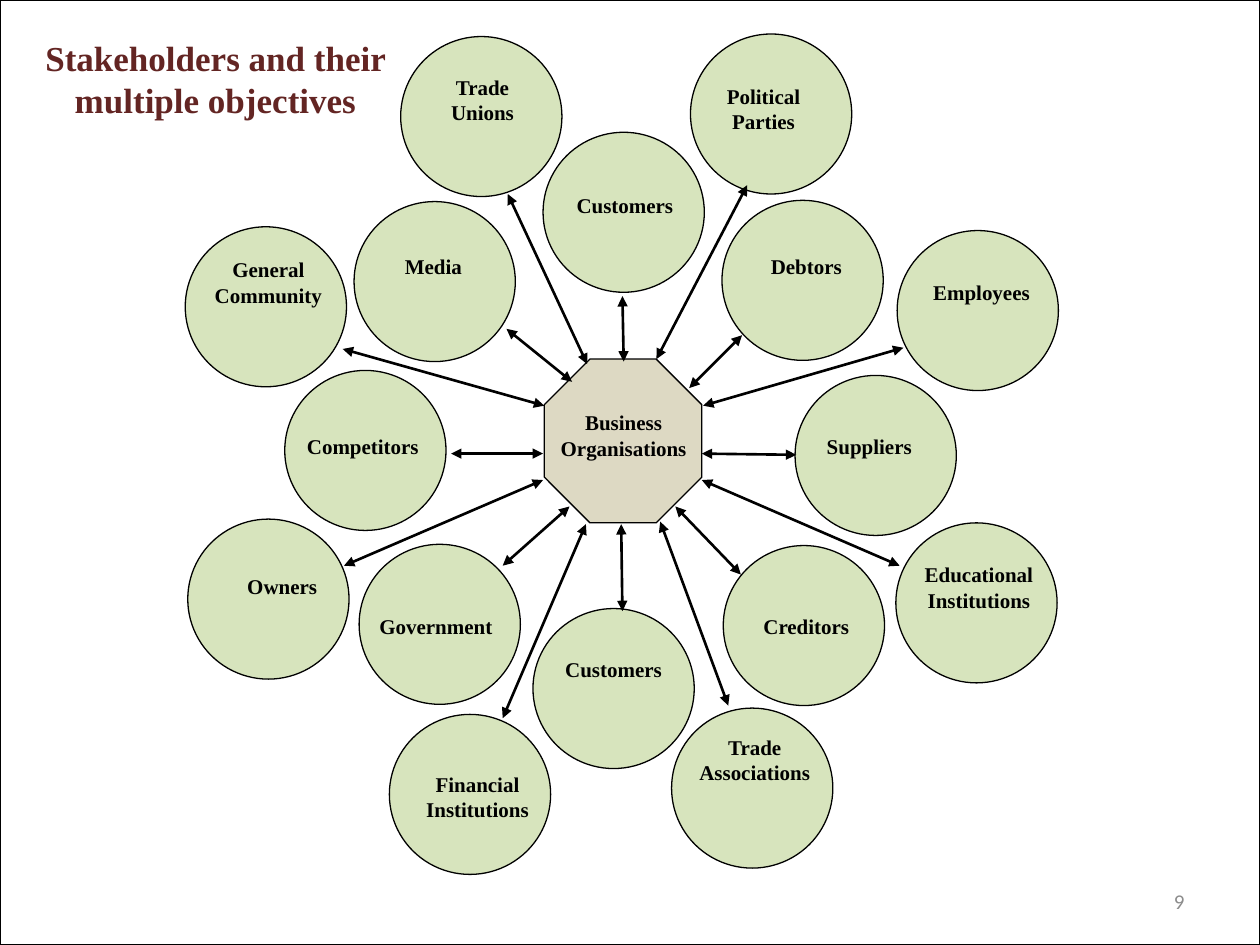
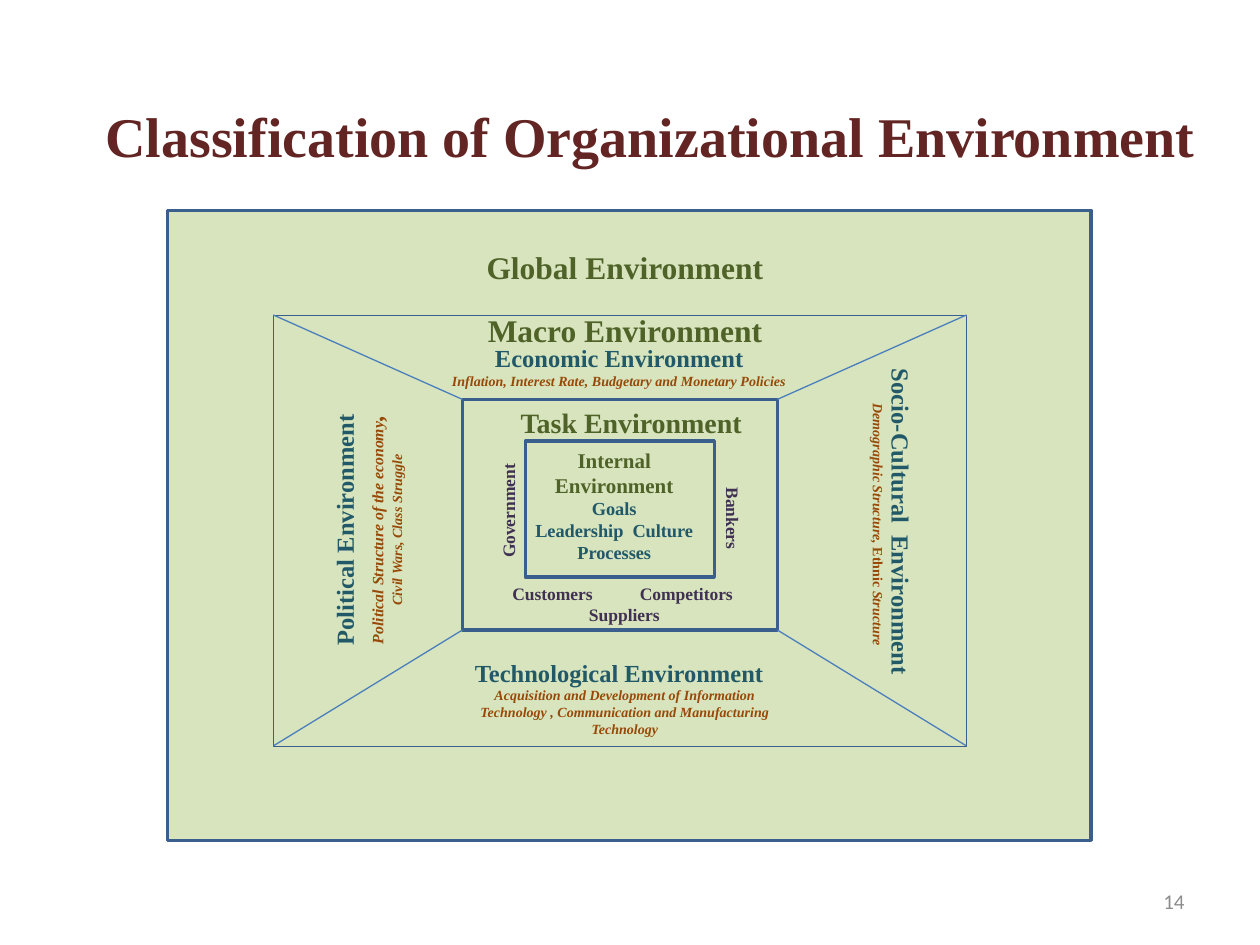
import pptx
import pptx.util
import pptx.dml.color
import pptx.enum.shapes
import pptx.enum.text
import pptx.oxml.ns
import lxml.etree

# ---- shared look ----
UNIT = 2.54  # all places below are in grid units of 2.54 cm
GREEN, SAND, BLACK, EDGE, RAY = "D7E4BD", "DDD9C3", "000000", "3A5F8C", "4B7EBC"
SERIF = "Times New Roman"
FONTS = {  # name: (font, size, colour, bold, italic)
    "head": (SERIF, 20, "632523", True, False),
    "big head": (SERIF, 32, "632523", True, False),
    "page": ("Calibri", 12, "8C8C8C", False, False),
    "label": (SERIF, 12, BLACK, True, False),
    "zone": (SERIF, 18, "4F6228", True, False),
    "task": (SERIF, 16, "4F6228", True, False),
    "inner": (SERIF, 12, "4F6228", True, False),
    "goal": (SERIF, 10.5, "215968", True, False),
    "field": (SERIF, 14, "215968", True, False),
    "note": (SERIF, 8, "984807", True, True),
    "note up": (SERIF, 8, "984807", True, False),
    "note 9": (SERIF, 9, "984807", True, True),
    "note 14": (SERIF, 14, "984807", True, True),
    "actor": (SERIF, 10, "403152", True, False),
}
LEFT, MID, RIGHT = (pptx.enum.text.PP_ALIGN.LEFT, pptx.enum.text.PP_ALIGN.CENTER,
                    pptx.enum.text.PP_ALIGN.RIGHT)
TOP, CENTRE = pptx.enum.text.MSO_ANCHOR.TOP, pptx.enum.text.MSO_ANCHOR.MIDDLE
KIND = pptx.enum.shapes.MSO_SHAPE
PAGE = (7.17, 6.95, 2.33, 0.4)

# ---- slide 1: stakeholders ----
HUB = (4.32, 2.85, 1.25, 1.3)
DISC = (1.28, 1.27)
ACTORS = [  # lines, disc corner, label box, arrow from hub to disc
    (["Customers"], (4.31, 1.05), (4.29, 1.48, 1.34, 0.49), (4.95, 2.87, 4.94, 2.35)),
    (["Customers"], (4.23, 4.83), (4.2, 5.16, 1.34, 0.71), (4.93, 4.16, 4.94, 4.85)),
    (["Suppliers"], (6.31, 2.98), (6.23, 3.39, 1.34, 0.41), (5.57, 3.6, 6.32, 3.61)),
    (["Competitors"], (2.26, 2.94), (2.09, 3.39, 1.58, 0.41), (4.31, 3.6, 3.58, 3.6)),
    (["Debtors"], (5.73, 1.59), (5.73, 1.96, 1.34, 0.61), (5.47, 3.08, 5.89, 2.66)),
    (["Media"], (2.81, 1.6), (2.77, 1.96, 1.34, 0.41), (4.54, 3.03, 4.02, 2.61)),
    (["Government"], (2.85, 4.32), (2.67, 4.82, 1.58, 0.41), (4.52, 4.02, 3.99, 4.49)),
    (["Creditors"], (5.74, 4.33), (5.73, 4.82, 1.34, 0.41), (5.36, 4.02, 5.88, 4.56)),
    (["Owners"], (1.49, 4.12), (1.57, 4.5, 1.34, 0.71), (4.31, 3.81, 2.73, 4.49)),
    (["Trade", "Associations"], (5.33, 5.62), (5.2, 5.78, 1.58, 0.71),
     (5.24, 4.14, 5.78, 5.6)),
    (["Financial", "Institutions"], (3.09, 5.67), (3.05, 6.07, 1.48, 0.55),
     (4.65, 4.16, 3.99, 5.7)),
    (["Educational", "Institutions"], (7.11, 4.15), (7.02, 4.41, 1.5, 0.71),
     (5.57, 3.81, 7.14, 4.49)),
    (["Employees"], (7.12, 1.83), (7.12, 2.17, 1.34, 0.71), (5.58, 3.22, 7.17, 2.76)),
    (["Political", "Parties"], (5.48, 0.27), (5.39, 0.61, 1.34, 0.71),
     (5.21, 2.85, 5.93, 1.47)),
    (["Trade", "Unions"], (3.18, 0.29), (3.16, 0.54, 1.34, 0.71), (4.66, 2.89, 4.03, 1.54)),
    (["General", "Community"], (1.47, 1.8), (1.39, 1.99, 1.48, 0.71),
     (4.32, 3.22, 2.72, 2.77)),
]

# ---- slide 2: nested environments ----
MACRO, TASK = (2.17, 2.5, 5.5, 3.42), (3.67, 3.17, 2.5, 1.83)
FRAMES = [((1.33, 1.67, 7.33, 5), 2), (MACRO, 0.25), (TASK, 2), ((4.17, 3.5, 1.5, 1.08), 2)]
TEXTS = [  # box, turn, paragraphs of (align, (text, font), ...)
    ((3, 1.92, 3.92, 0.4), 0, [(MID, ("Global Environment", "zone"))]),
    ((3, 2.42, 3.92, 0.4), 0, [(MID, ("Macro Environment", "zone"))]),
    ((3.25, 2.67, 3.33, 0.49), 0, [
        (MID, ("Economic Environment", "field")),
        (MID, ("Inflation, Interest Rate, Budgetary and Monetary Policies", "note"))]),
    ((1.71, 3.85, 2.42, 0.71), 270, [
        (MID, ("Political Environment", "field")),
        (MID, ("Political Structure of the economy", "note 9"), (",", "note 14")),
        (MID, ("Civil Wars, Class Struggle", "note"))]),
    ((3.67, 5.17, 2.58, 0.74), 0, [
        (LEFT, ("Technological Environment", "field")),
        (MID, ("Acquisition and Development of Information Technology , "
               "Communication and Manufacturing Technology", "note"))]),
    ((5.75, 3.93, 2.67, 0.47), 90, [
        (LEFT, ("Socio-Cultural  Environment", "field")),
        (MID, ("Demographic Structure, ", "note"), ("Ethnic ", "note up"),
         ("Structure", "note"))]),
    ((3.05, 3.17, 3.92, 0.37), 0, [(MID, ("Task Environment", "task"))]),
    ((3.75, 3.5, 2.25, 1.04), 0, [
        (MID, ("Internal", "inner")), (MID, ("Environment", "inner")),
        (MID, ("Goals", "goal")), (MID, ("Leadership  Culture", "goal")),
        (MID, ("Processes", "goal"))]),
    ((3.32, 3.92, 1.43, 0.27), 270, [(MID, ("Government", "actor"))]),
    ((5.1, 3.98, 1.43, 0.27), 90, [(MID, ("Bankers", "actor"))]),
]
PARTNERS = ((3.83, 4.58, 2.25, 0.44), [
    (LEFT, ("Customers\tCompetitors", "actor")), (MID, ("Suppliers", "actor"))])


# ---- helpers ----
def rgb(code):
    return pptx.dml.color.RGBColor.from_string(code)


def cm(*vals):
    return [pptx.util.Cm(v * UNIT) for v in vals]


def put(item, **vals):
    for key, val in vals.items():
        setattr(item, key, val)


def write(shape, paras, **vals):
    frame = shape.text_frame
    base = {"word_wrap": True, "vertical_anchor": TOP,
            "auto_size": pptx.enum.text.MSO_AUTO_SIZE.NONE}
    put(frame, **{**base, **vals})
    for i, (align, *runs) in enumerate(paras):
        para = frame.add_paragraph() if i else frame.paragraphs[0]
        para.alignment = align
        for text, key in runs:
            run = para.add_run()
            run.text = text
            name, size, tint, bold, slant = FONTS[key]
            put(run.font, name=name, size=pptx.util.Pt(size), bold=bold, italic=slant)
            run.font.color.rgb = rgb(tint)


def label(slide, box, paras, turn=0, **vals):
    shape = slide.shapes.add_textbox(*cm(*box))
    shape.rotation = turn
    write(shape, paras, **vals)
    return shape


def block(slide, kind, box, fill=None, line=None, width=0.75):
    shape = slide.shapes.add_shape(kind, *cm(*box))
    shape.shadow.inherit = False
    for part, tint in ((shape.fill, fill), (shape.line.fill, line)):
        if tint:
            part.solid()
            part.fore_color.rgb = rgb(tint)
        else:
            part.background()
    if line:
        shape.line.width = pptx.util.Pt(width)
    return shape


def link(slide, ends, tint, width, heads=()):
    kind = pptx.enum.shapes.MSO_CONNECTOR.STRAIGHT
    line = slide.shapes.add_connector(kind, *cm(*ends))
    line.line.color.rgb = rgb(tint)
    line.line.width = pptx.util.Pt(width)
    qn = pptx.oxml.ns.qn
    for tag in heads:
        lxml.etree.SubElement(line.line._get_or_add_ln(), qn(tag), type="triangle")
    lxml.etree.SubElement(line._element.spPr, qn("a:effectLst"))


def start(deck, text, key, box, page, **vals):
    slide = deck.slides.add_slide(deck.slide_layouts[5])
    title = slide.shapes.title
    left, top, width, height = cm(*box)
    put(title, left=left, top=top, width=width, height=height)
    write(title, [(MID, (text, key))], **vals)
    label(slide, PAGE, [(RIGHT, (page, "page"))], vertical_anchor=CENTRE)
    return slide


# ---- slides ----
def stakes(deck):
    slide = start(deck, "Stakeholders and their multiple objectives", "head",
                  (0.17, 0.33, 3.08, 0.58), "9", vertical_anchor=CENTRE)
    hub = block(slide, KIND.OCTAGON, HUB, SAND, BLACK)
    hub.adjustments[0] = 0.29
    for _, spot, _, _ in ACTORS:
        block(slide, KIND.OVAL, spot + DISC, GREEN, BLACK)
    core = block(slide, KIND.ROUNDED_RECTANGLE, (4.27, 3.17, 1.36, 0.69))
    write(core, [(MID, (t, "label")) for t in ("Business", "Organisations")])
    for _, _, _, ends in ACTORS:
        link(slide, ends, BLACK, 1.5, ("a:headEnd", "a:tailEnd"))
    for lines, _, box, _ in ACTORS:
        label(slide, box, [(MID, (t, "label")) for t in lines])
    block(slide, KIND.RECTANGLE, (0, 0, 10, 7.5), line=BLACK)


def zones(deck):
    slide = start(deck, "Classification of Organizational Environment", "big head",
                  (0.33, 0.25, 9.67, 1.72), "14", margin_top=pptx.util.Cm(1.42))
    for box, width in FRAMES:
        block(slide, KIND.RECTANGLE, box, GREEN, EDGE, width)
    # rays join matching corners of the macro and task frames
    for i in (0, 1):
        for j in (0, 1):
            ends = [v for x, y, w, h in (MACRO, TASK) for v in (x + i * w, y + j * h)]
            link(slide, ends, RAY, 0.75)
    for box, turn, paras in TEXTS:
        label(slide, box, paras, turn)
    # a tab stop spaces the first line of partners
    box, paras = PARTNERS
    side = pptx.util.Cm(0.6)
    shape = label(slide, box, paras, margin_left=side, margin_right=side)
    qn = pptx.oxml.ns.qn
    props = shape.text_frame.paragraphs[0]._p.get_or_add_pPr()
    tabs = lxml.etree.SubElement(props, qn("a:tabLst"))
    lxml.etree.SubElement(tabs, qn("a:tab"), pos=str(pptx.util.Cm(2.57)), algn="l")


def main():
    deck = pptx.Presentation()
    deck.slide_width, deck.slide_height = cm(10, 7.5)
    stakes(deck)
    zones(deck)
    deck.save("out.pptx")


if __name__ == "__main__":
    main()
